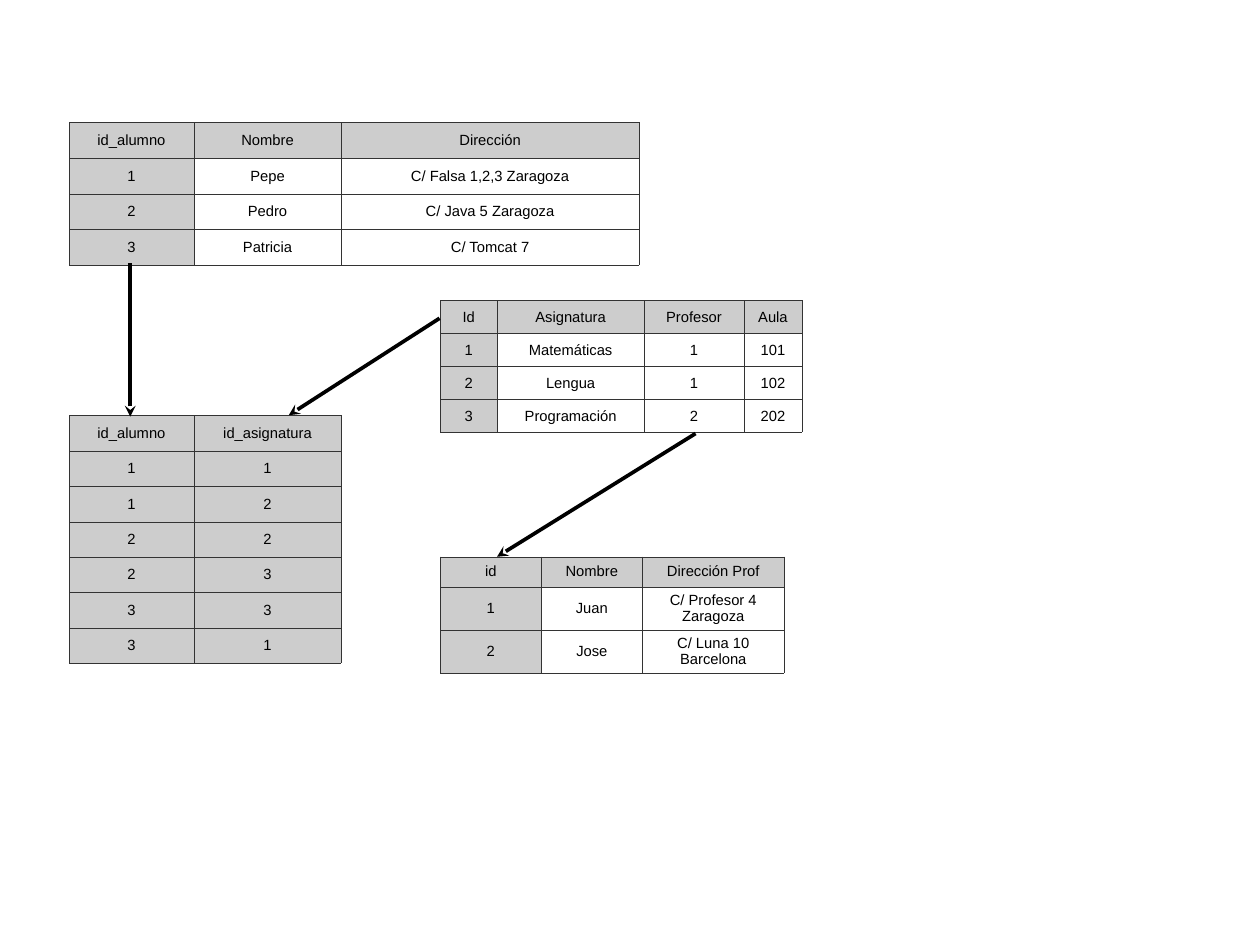
from dataclasses import dataclass

from lxml.etree import SubElement
from pptx import Presentation
from pptx.dml.color import RGBColor as Color
from pptx.enum.shapes import MSO_CONNECTOR as Connector
from pptx.enum.text import MSO_ANCHOR as Anchor, PP_ALIGN as Align
from pptx.oxml.ns import qn
from pptx.util import Pt


@dataclass(frozen=True)
class Theme:
    font: str = "Arial"
    text_size: float = 12
    text: str = "000000"
    key_fill: str = "CDCDCD"
    cell_fill: str = "FFFFFF"
    border: str = "333333"
    border_width: float = 0.11
    arrow: str = "000000"
    arrow_width: float = 3
    margin_x: float = 4.3
    margin_y: float = 3.6


class SchemaSlide:
    def __init__(self, slide, theme):
        self.slide = slide
        self.theme = theme

    def add_table(self, left, top, widths, heights, rows, key_columns=1):
        frame = self.slide.shapes.add_table(
            len(rows), len(widths), Pt(left), Pt(top), Pt(sum(widths)), Pt(sum(heights))
        )
        table = frame.table
        table.first_row = False
        table.horz_banding = False
        for column, width in zip(table.columns, widths):
            column.width = Pt(width)
        for row, height in zip(table.rows, heights):
            row.height = Pt(height)
        for row_index, values in enumerate(rows):
            for column_index, value in enumerate(values):
                is_key = row_index == 0 or column_index < key_columns
                self.format_cell(table.cell(row_index, column_index), value, is_key)

    def format_cell(self, cell, value, is_key):
        theme = self.theme
        cell.text_frame.text = value
        cell.vertical_anchor = Anchor.MIDDLE
        cell.margin_left = cell.margin_right = Pt(theme.margin_x)
        cell.margin_top = cell.margin_bottom = Pt(theme.margin_y)
        self.add_borders(cell)
        cell.fill.solid()
        cell.fill.fore_color.rgb = Color.from_string(theme.key_fill if is_key else theme.cell_fill)
        paragraph = cell.text_frame.paragraphs[0]
        paragraph.alignment = Align.CENTER
        font = paragraph.runs[0].font
        font.name = theme.font
        font.size = Pt(theme.text_size)
        font.color.rgb = Color.from_string(theme.text)

    def add_borders(self, cell):
        properties = cell._tc.get_or_add_tcPr()
        for side in ("a:lnL", "a:lnR", "a:lnT", "a:lnB"):
            line = SubElement(properties, qn(side), w=str(Pt(self.theme.border_width)))
            fill = SubElement(line, qn("a:solidFill"))
            SubElement(fill, qn("a:srgbClr"), val=self.theme.border)

    def add_arrow(self, tip, origin):
        arrow = self.slide.shapes.add_connector(
            Connector.STRAIGHT, *(Pt(length) for length in (*tip, *origin))
        )
        arrow.line.width = Pt(self.theme.arrow_width)
        arrow.line.color.rgb = Color.from_string(self.theme.arrow)
        SubElement(arrow.line._get_or_add_ln(), qn("a:headEnd"), type="stealth")
        SubElement(arrow._element.spPr, qn("a:effectLst"))


def main():
    presentation = Presentation()
    presentation.slide_width = Pt(1023.84)
    presentation.slide_height = Pt(767.52)
    slide = presentation.slides.add_slide(presentation.slide_layouts[6])
    schema = SchemaSlide(slide, Theme())

    left_column, right_column = 56.2, 357.8

    students = [
        ("id_alumno", "Nombre", "Dirección"),
        ("1", "Pepe", "C/ Falsa 1,2,3 Zaragoza"),
        ("2", "Pedro", "C/ Java 5 Zaragoza"),
        ("3", "Patricia", "C/ Tomcat 7"),
    ]
    schema.add_table(left_column, 99.4, [101.2, 120, 241.8], [29] * 4, students)

    enrolments = [
        ("id_alumno", "id_asignatura"),
        ("1", "1"),
        ("1", "2"),
        ("2", "2"),
        ("2", "3"),
        ("3", "3"),
        ("3", "1"),
    ]
    schema.add_table(left_column, 337.2, [101.2, 120], [28.8] * 7, enrolments, key_columns=2)

    subjects = [
        ("Id", "Asignatura", "Profesor", "Aula"),
        ("1", "Matemáticas", "1", "101"),
        ("2", "Lengua", "1", "102"),
        ("3", "Programación", "2", "202"),
    ]
    schema.add_table(right_column, 244, [46.2, 119.5, 81, 47.3], [26.8] * 4, subjects)

    teachers = [
        ("id", "Nombre", "Dirección Prof"),
        ("1", "Juan", "C/ Profesor 4 Zaragoza"),
        ("2", "Jose", "C/ Luna 10 Barcelona"),
    ]
    schema.add_table(right_column, 452.2, [82.1, 82.1, 115.3], [24.4, 34.9, 34.9], teachers)

    schema.add_arrow((105.9, 338.4), (105.9, 213.9))
    schema.add_arrow((234.7, 337.2), (357.2, 258.5))
    schema.add_arrow((403.9, 452.2), (565.2, 352.1))

    presentation.save("out.pptx")


if __name__ == "__main__":
    main()
